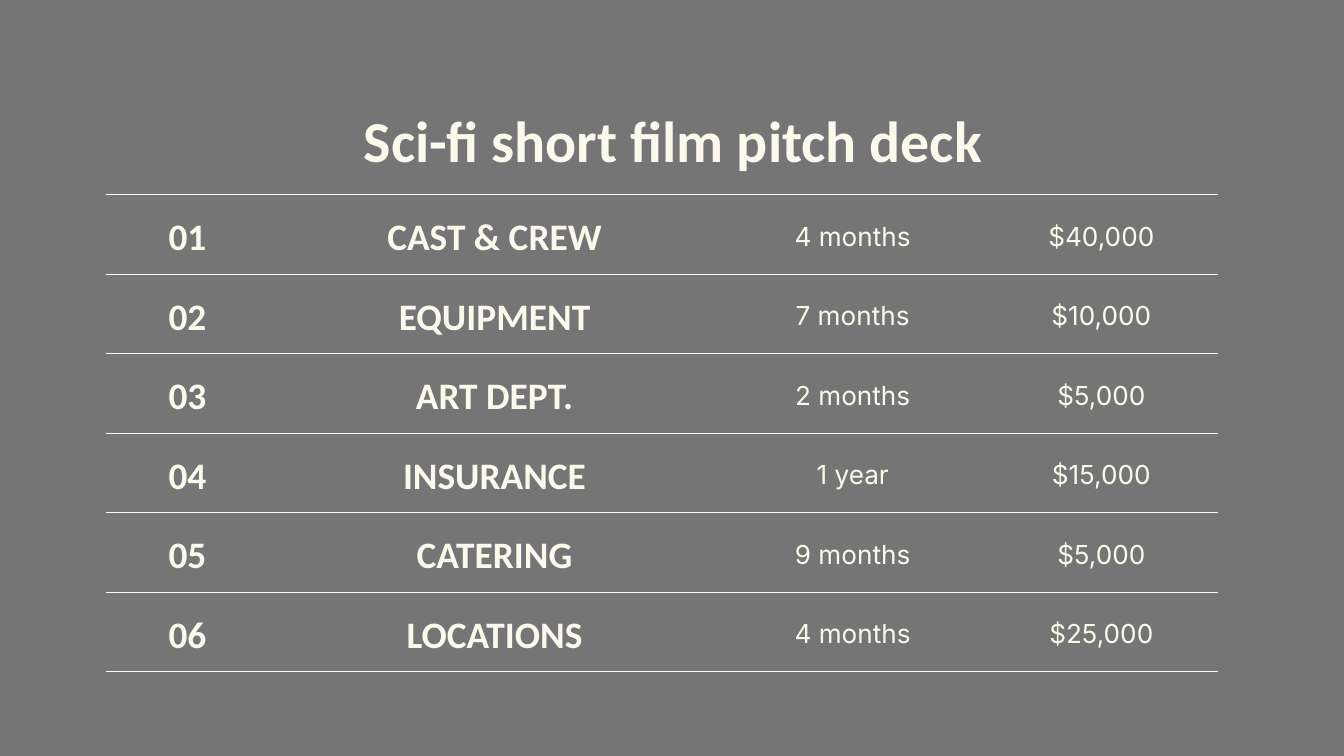
from lxml.etree import SubElement
from pptx import Presentation
from pptx.dml.color import RGBColor
from pptx.enum.shapes import MSO_SHAPE
from pptx.enum.text import MSO_ANCHOR as Anchor, MSO_AUTO_SIZE as AutoSize, PP_ALIGN as Align
from pptx.oxml.ns import qn
from pptx.util import Inches, Pt

SLIDE_WIDTH = 10
SLIDE_HEIGHT = SLIDE_WIDTH * 9 / 16
CREAM, DARK = "FAF9EC", "161616"
HEADING_FONT, BODY_FONT = "Calibri", "Inter"
LEFT = 0.79
COLUMN_WIDTHS = (1.21, 3.36, 1.97, 1.73)
ROW_HEIGHT = 0.57
BUDGET = (
    ("CAST & CREW", "4 months", "$40,000"),
    ("EQUIPMENT", "7 months", "$10,000"),
    ("ART DEPT.", "2 months", "$5,000"),
    ("INSURANCE", "1 year", "$15,000"),
    ("CATERING", "9 months", "$5,000"),
    ("LOCATIONS", "4 months", "$25,000"),
)


def color(value):
    return RGBColor.from_string(value)


def write(frame, text, size, font, bold):
    paragraph = frame.paragraphs[0]
    paragraph.alignment = Align.CENTER
    paragraph.line_spacing = 1.15
    run = paragraph.add_run()
    run.text = text
    run.font.size = Pt(size)
    run.font.name = font
    run.font.bold = bold
    run.font.color.rgb = color(CREAM)


def set_margins(target):
    target.margin_left = target.margin_right = Inches(0.1)
    target.margin_top = target.margin_bottom = Inches(0.1)


def add_backdrop(presentation, slide):
    """Cover the slide with a translucent dark sheet behind everything."""
    shape = slide.shapes.add_shape(
        MSO_SHAPE.RECTANGLE, 0, 0, presentation.slide_width, presentation.slide_height)
    shape.shadow.inherit = False
    shape.line.fill.background()
    shape.fill.solid()
    shape.fill.fore_color.rgb = color(DARK)
    rgb = shape.fill._xPr.find(".//" + qn("a:srgbClr"))
    SubElement(rgb, qn("a:alpha"), val="59000")
    slide.shapes._spTree.insert(2, shape._element)


def add_title(slide, text):
    title = slide.shapes.title
    title.left, title.top = Inches(LEFT), Inches(0.6)
    title.width, title.height = Inches(8.43), Inches(0.69)
    frame = title.text_frame
    frame.auto_size = AutoSize.NONE
    frame.word_wrap = True
    frame.vertical_anchor = Anchor.TOP
    set_margins(frame)
    write(frame, text, 31, HEADING_FONT, True)


def rule_cell(cell):
    """Draw horizontal rules only; borders must precede the cell fill."""
    properties = cell._tc.get_or_add_tcPr()
    for position, side in enumerate(("lnL", "lnR", "lnT", "lnB")):
        line = SubElement(properties, qn(f"a:{side}"), w=str(Pt(0.75)))
        if side in ("lnT", "lnB"):
            fill = SubElement(line, qn("a:solidFill"))
            SubElement(fill, qn("a:srgbClr"), val=CREAM)
        else:
            SubElement(line, qn("a:noFill"))
        properties.insert(position, line)


def add_budget_table(slide):
    table = slide.shapes.add_table(
        len(BUDGET), len(COLUMN_WIDTHS), Inches(LEFT), Inches(1.45),
        Inches(sum(COLUMN_WIDTHS)), Inches(ROW_HEIGHT * len(BUDGET))).table
    table.first_row = table.horz_banding = False
    for column, width in zip(table.columns, COLUMN_WIDTHS):
        column.width = Inches(width)
    for number, (row, entry) in enumerate(zip(table.rows, BUDGET), 1):
        row.height = Inches(ROW_HEIGHT)
        for index, text in enumerate((f"{number:02}", *entry)):
            cell = row.cells[index]
            cell.vertical_anchor = Anchor.MIDDLE
            set_margins(cell)
            cell.fill.background()
            rule_cell(cell)
            # Number and department are headings, the rest are details
            if index < 2:
                write(cell.text_frame, text, 20, HEADING_FONT, True)
            else:
                write(cell.text_frame, text, 14, BODY_FONT, False)


def main():
    presentation = Presentation()
    presentation.slide_width = Inches(SLIDE_WIDTH)
    presentation.slide_height = Inches(SLIDE_HEIGHT)
    slide = presentation.slides.add_slide(presentation.slide_layouts[5])
    add_backdrop(presentation, slide)
    add_title(slide, "Sci-fi short film pitch deck")
    add_budget_table(slide)
    presentation.save("out.pptx")


if __name__ == "__main__":
    main()
